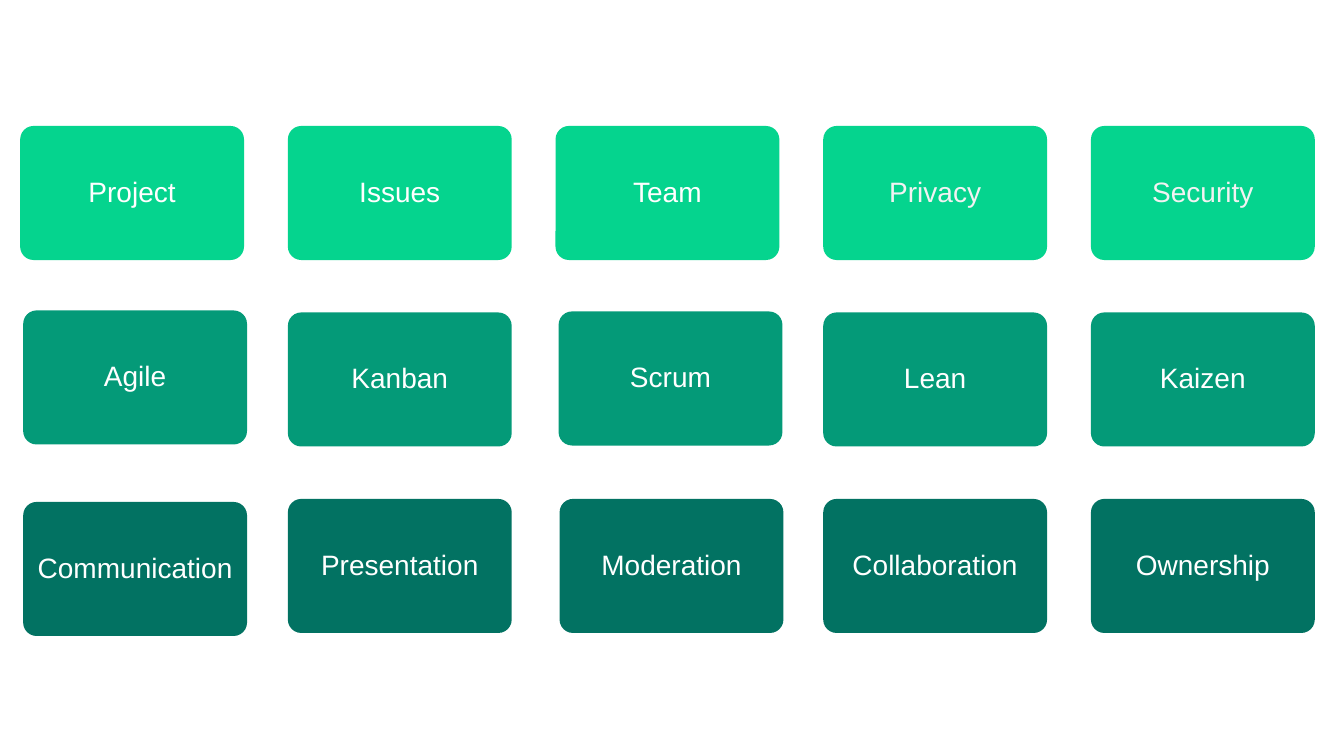
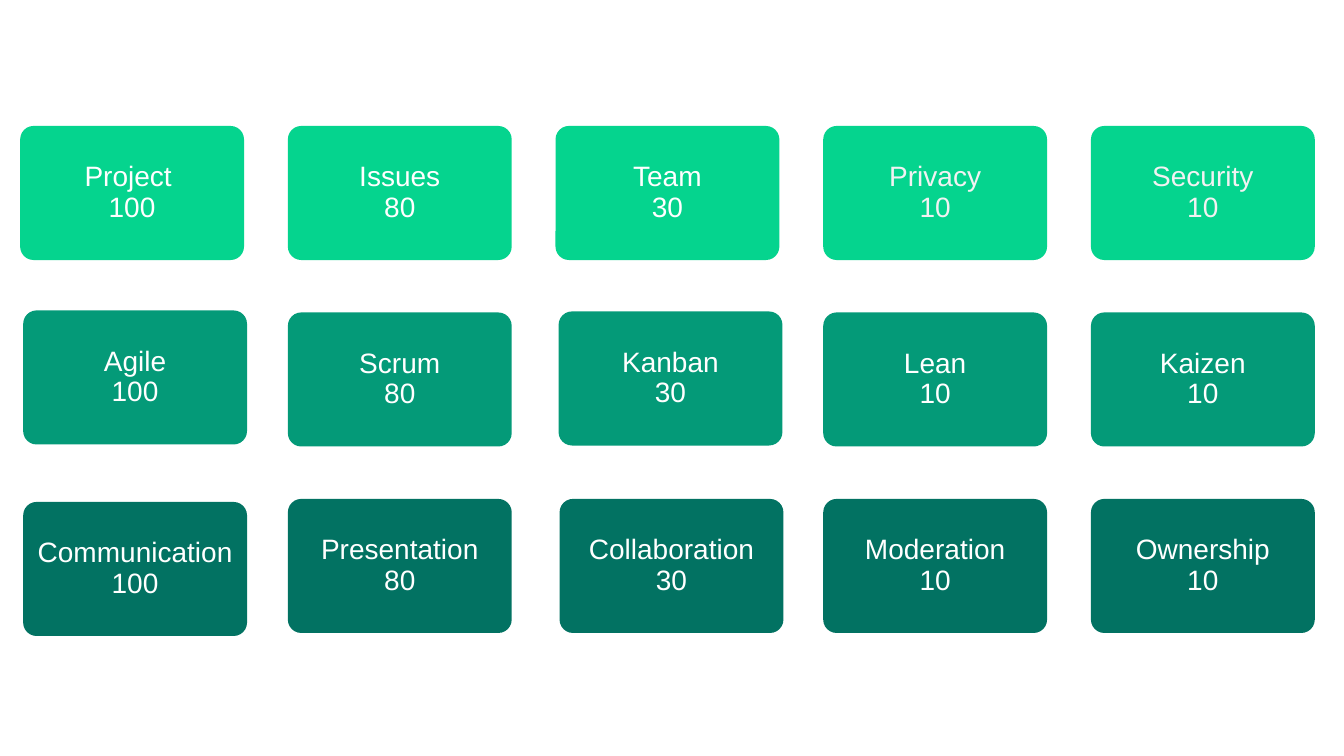
"""Build two slides of topic cards, without and with scores."""
from pptx import Presentation
from pptx.dml.color import RGBColor
from pptx.enum.shapes import MSO_SHAPE as SHAPE
from pptx.enum.text import MSO_ANCHOR as ANCHOR, PP_ALIGN as ALIGN
from pptx.util import Inches, Pt

WHITE, PALE = "FFFFFF", "F2F2F2"
ROW_FILLS = ["05D48E", "049A78", "027262"]
PALE_CARDS = {"Privacy", "Security"}
SLIDES = [
    {"rows": [["Project", "Issues", "Team", "Privacy", "Security"],
              ["Agile", "Kanban", "Scrum", "Lean", "Kaizen"],
              ["Communication", "Presentation", "Moderation", "Collaboration", "Ownership"]],
     "scores": None},
    {"rows": [["Project ", "Issues", "Team", "Privacy", "Security"],
              ["Agile", "Scrum", "Kanban", "Lean", "Kaizen"],
              ["Communication", "Presentation", "Collaboration", "Moderation", "Ownership"]],
     "scores": ["100", "80", "30", "10", "10"]},
]

SLIDE_W, SLIDE_H = 13.33, 7.5
CARD_W, CARD_H = 2.22, 1.33
FIRST_X, LAST_X = 0.2, 10.82
FIRST_Y, ROW_STEP = 1.25, 1.85
COLUMN_STEP = (LAST_X - FIRST_X) / 4
NUDGES = {(1, 0): (0.03, -0.02), (1, 2): (0.03, -0.01),
          (2, 0): (0.03, 0.03), (2, 2): (0.04, 0)}
FRAME = {"word_wrap": True, "vertical_anchor": ANCHOR.MIDDLE,
         **{f"margin_{side}": Inches(0.05) for side in ("left", "right", "top", "bottom")}}
PARAGRAPH = {"alignment": ALIGN.CENTER, "line_spacing": 0.9}
FONT = {"name": "Arial", "size": Pt(20)}


def color(value):
    return RGBColor.from_string(value)


def apply(target, values):
    for name, value in values.items():
        setattr(target, name, value)


def add_card(s, row, column, lines):
    dx, dy = NUDGES.get((row, column), (0, 0))
    x = FIRST_X + column * COLUMN_STEP + dx
    y = FIRST_Y + row * ROW_STEP + dy
    sp = s.shapes.add_shape(SHAPE.ROUNDED_RECTANGLE, *map(Inches, (x, y, CARD_W, CARD_H)))
    sp.adjustments[0] = 0.1
    sp.shadow.inherit = False
    sp.fill.solid()
    sp.fill.fore_color.rgb = color(ROW_FILLS[row])
    sp.line.fill.background()
    tf = sp.text_frame
    apply(tf, FRAME)
    for i, line in enumerate(lines):
        p = tf.add_paragraph() if i else tf.paragraphs[0]
        apply(p, PARAGRAPH)
        r = p.add_run()
        r.text = line
        apply(r.font, FONT)
        r.font.color.rgb = color(PALE if lines[0] in PALE_CARDS else WHITE)


def main():
    prs = Presentation()
    prs.slide_width, prs.slide_height = Inches(SLIDE_W), Inches(SLIDE_H)
    for content in SLIDES:
        s = prs.slides.add_slide(prs.slide_layouts[6])
        for row, labels in enumerate(content["rows"]):
            for column, label in enumerate(labels):
                score = [content["scores"][column]] if content["scores"] else []
                add_card(s, row, column, [label] + score)
    prs.save("out.pptx")


if __name__ == "__main__":
    main()
